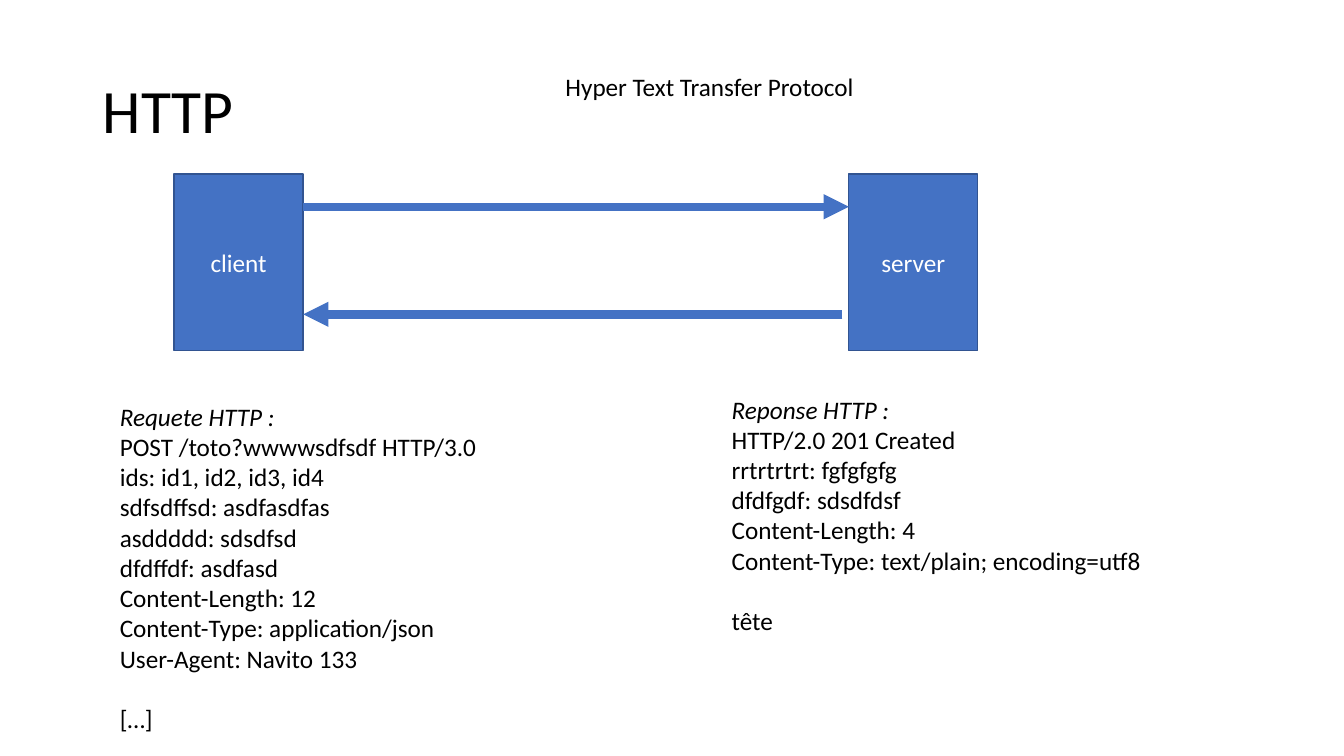
import pptx
import pptx.util
import pptx.dml.color
import pptx.enum.shapes
import pptx.enum.text
import pptx.oxml.ns
import lxml.etree

Cm = pptx.util.Cm
Pt = pptx.util.Pt
COLORS = {"text": "000000", "blue": "4472C4", "outline": "325491", "white": "FFFFFF"}
FONT = "Calibri"


def color(name):
    return pptx.dml.color.RGBColor.from_string(COLORS[name])


def add_run(paragraph, text, size=18, color_name="text", italic=False):
    run = paragraph.add_run()
    run.text = text
    run.font.name = FONT
    run.font.size = Pt(size)
    run.font.italic = italic
    run.font.color.rgb = color(color_name)


presentation = pptx.Presentation()
presentation.slide_width = Cm(33.87)
presentation.slide_height = Cm(19.05)
slide = presentation.slides.add_slide(presentation.slide_layouts[6])

title = slide.shapes.add_textbox(Cm(2.34), Cm(1.02), Cm(29.21), Cm(3.68))
title.text_frame.word_wrap = True
title.text_frame.vertical_anchor = pptx.enum.text.MSO_ANCHOR.MIDDLE
title.text_frame.paragraphs[0].line_spacing = 0.9
add_run(title.text_frame.paragraphs[0], "HTTP", size=44)

box_top, box_width, box_height = 4.39, 3.25, 4.45
client_left, server_left = 4.39, 21.39
for label, left in (("client", client_left), ("server", server_left)):
    shape = slide.shapes.add_shape(
        pptx.enum.shapes.MSO_SHAPE.RECTANGLE,
        Cm(left), Cm(box_top), Cm(box_width), Cm(box_height))
    shape.shadow.inherit = False
    shape.fill.solid()
    shape.fill.fore_color.rgb = color("blue")
    shape.line.color.rgb = color("outline")
    shape.line.width = Pt(1)
    shape.text_frame.vertical_anchor = pptx.enum.text.MSO_ANCHOR.MIDDLE
    paragraph = shape.text_frame.paragraphs[0]
    paragraph.alignment = pptx.enum.text.PP_ALIGN.CENTER
    add_run(paragraph, label, color_name="white")

client_right = client_left + box_width
for start, end, y in ((client_right, server_left, 5.21), (21.23, client_right, 7.92)):
    arrow = slide.shapes.add_connector(
        pptx.enum.shapes.MSO_CONNECTOR.STRAIGHT, Cm(start), Cm(y), Cm(end), Cm(y))
    arrow.line.color.rgb = color("blue")
    arrow.line.width = Pt(6)
    lxml.etree.SubElement(
        arrow.line._get_or_add_ln(), pptx.oxml.ns.qn("a:tailEnd"), type="triangle")
    lxml.etree.SubElement(arrow._element.spPr, pptx.oxml.ns.qn("a:effectLst"))

request = [
    "POST /toto?wwwwsdfsdf HTTP/3.0",
    "ids: id1, id2, id3, id4",
    "sdfsdffsd: asdfasdfas",
    "asddddd: sdsdfsd",
    "dfdffdf: asdfasd",
    "Content-Length: 12",
    "Content-Type: application/json",
    "User-Agent: Navito 133",
]
response = [
    "HTTP/2.0 201 Created",
    "rrtrtrtrt: fgfgfgfg",
    "dfdfgdf: sdsdfdsf",
    "Content-Length: 4",
    "Content-Type: text/plain; encoding=utf8",
]
texts = [
    (14, 1.68, 7.85, 1.02, None, ["Hyper Text Transfer Protocol"], None),
    (2.77, 9.98, 9.88, 8.71, "Requete HTTP :", request, "[…]"),
    (18.19, 9.8, 11, 6.4, "Reponse HTTP :", response, "tête"),
]
for left, top, width, height, heading, lines, body in texts:
    text_box = slide.shapes.add_textbox(Cm(left), Cm(top), Cm(width), Cm(height))
    frame = text_box.text_frame
    frame.word_wrap = False
    for index, line in enumerate(filter(None, [heading, *lines, body])):
        paragraph = frame.add_paragraph() if index else frame.paragraphs[0]
        add_run(paragraph, line, italic=line == heading)
    if body:
        paragraph.space_before = Pt(21.6)

presentation.save("out.pptx")
